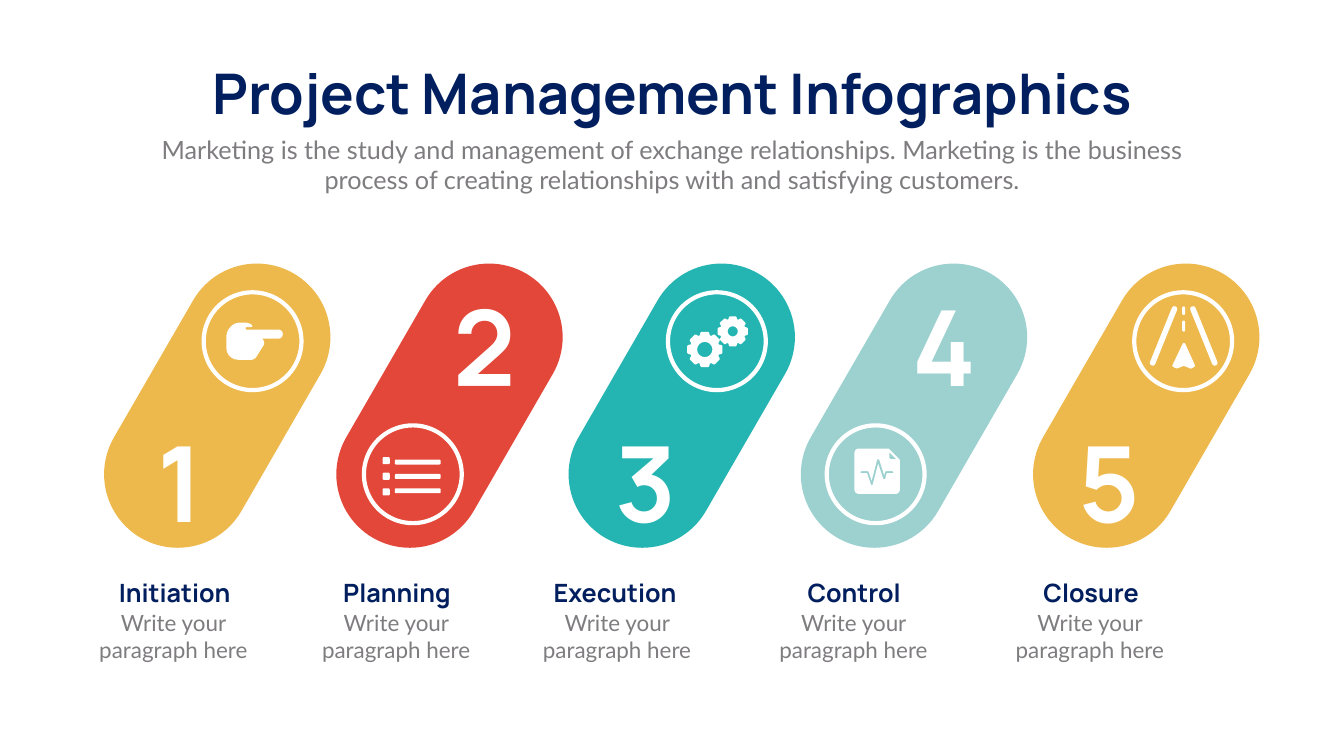
from math import cos, radians, sin

from pptx import Presentation
from pptx.dml.color import RGBColor
from pptx.enum.shapes import MSO_SHAPE
from pptx.enum.text import MSO_AUTO_SIZE, PP_ALIGN
from pptx.util import Pt

ROUND, OVAL = MSO_SHAPE.ROUNDED_RECTANGLE, MSO_SHAPE.OVAL
CENTER, GROW = PP_ALIGN.CENTER, MSO_AUTO_SIZE.SHAPE_TO_FIT_TEXT
HEX = {"navy": "011F5E", "gray": "7E7C7F", "white": "FFFFFF",
       "gold": "EEB94C", "red": "E34739", "teal": "24B5B2", "mint": "9CD1D0"}
RGB = {name: RGBColor.from_string(code) for name, code in HEX.items()}

deck = Presentation()
deck.slide_width, deck.slide_height = Pt(1919.52), Pt(1080)
slide = deck.slides.add_slide(deck.slide_layouts[6])
shapes = slide.shapes


def solid(kind, x, y, w, h, fill, adj=None, turn=0):
    shape = shapes.add_shape(kind, Pt(x), Pt(y), Pt(w), Pt(h))
    shape.shadow.inherit = False
    shape.rotation = turn
    if adj is not None:
        shape.adjustments[0] = adj
    if fill:
        shape.fill.solid()
        shape.fill.fore_color.rgb = RGB[fill]
    else:
        shape.fill.background()
    shape.line.fill.background()
    return shape


def label(text, mid, y, w, h, size, color, bold=True, wrap=True):
    box = shapes.add_textbox(Pt(mid - w / 2), Pt(y), Pt(w), Pt(h))
    frame = box.text_frame
    frame.word_wrap = wrap
    frame.auto_size = GROW
    para = frame.paragraphs[0]
    para.text = text
    para.alignment = CENTER
    font = para.font
    font.name = "Manrope" if bold else "Lato"
    font.size, font.bold = Pt(size), bold
    font.color.rgb = RGB[color]


# Title and subtitle
label("Project Management Infographics", 960.1, 80.6, 1436.4, 104.4, 80, "navy", wrap=False)
label("Marketing is the study and management of exchange relationships. "
      "Marketing is the business process of creating relationships with "
      "and satisfying customers.", 959.8, 187.9, 1499, 94.3, 36, "gray", bold=False)

# Steps: name, colour, middles of heading, body and number, number width, ring left
steps = [
    ("Initiation", "gold", 249.5, 247.7, 253.1, 71.3, 290.9),
    ("Planning", "red", 567, 565.9, 691.2, 100.8, 519.8),
    ("Execution", "teal", 878.4, 881.3, 922.7, 105.8, 954),
    ("Control", "mint", 1220, 1219, 1348.2, 117.4, 1180.8),
    ("Closure", "gold", 1558.4, 1556.6, 1583.6, 113, 1620),
]
for i, step in enumerate(steps):
    solid(ROUND, 205.2 + 331.7 * i, 361.4, 210.2, 436.3, step[1], 0.5, 30)
for name, _, head, body, *_ in steps:
    label(name, head, 820.8, 192.2, 51.1, 36, "navy")
    label("Write your paragraph here", body, 866.2, 273.6, 85, 32, "gray", bold=False)
for i, (*_, mid, width, _) in enumerate(steps):
    label(str(i + 1), mid, 398.2 if i % 2 else 593.3, width, 189.4, 150, "white", wrap=False)
for i, step in enumerate(steps):
    ring = solid(OVAL, step[-1], 607.7 if i % 2 else 417.6, 139.7, 139.7, None if i else "gold")
    ring.line.color.rgb = RGB["white"]
    ring.line.width = Pt(6)

# List icon
for i in range(3):
    solid(ROUND, 546.5, 653 + 22.3 * i, 10.2, 10.2, "white", 0.17)
    solid(ROUND, 563.8, 656.6 + 20.5 * i, 65.5, 7, "white", 0.25)

# Road icon: two edges and the middle dashes
for mid, turn in ((1661.8, 22), (1719.4, -22)):
    solid(ROUND, mid - 4, 434.4, 8, 91, "white", 0.5, turn)
for y, h in ((437.8, 12.2), (457.9, 15.8)):
    solid(ROUND, 1688.4, y, 4.3, h, "white", 0.5)

# Outlines in units of 0.72 pt: two numbers are a corner, six are a curve
hand = [(552, 654), (489, 654), (488, 654, 487, 653, 487, 651),
        (487, 650, 488, 649, 489, 649), (498, 649), (499, 649, 500, 648, 500, 648),
        (501, 647, 500, 646, 500, 645), (496, 642, 491, 640, 486, 640), (477, 640),
        (469, 640, 462, 643, 457, 649), (452, 654, 449, 661, 449, 669), (449, 691),
        (449, 704, 460, 714, 473, 714), (498, 714), (502, 714, 505, 712, 508, 709),
        (521, 688), (525, 684, 525, 677, 521, 673), (521, 672), (552, 672),
        (557, 672, 561, 668, 561, 663), (561, 658, 557, 654, 552, 654)]
page = [(1784, 911), (1764, 891), (1763, 890, 1763, 890, 1762, 890), (1703, 890),
        (1699, 890, 1695, 894, 1695, 898), (1695, 972), (1695, 976, 1699, 980, 1703, 980),
        (1777, 980), (1781, 980, 1785, 976, 1785, 972), (1785, 913),
        (1785, 912, 1784, 912, 1784, 911)]
pulse = [(1770, 939), (1759, 939), (1756, 950), (1755, 951, 1753, 951, 1752, 950),
         (1742, 920), (1731, 962), (1731, 963, 1728, 963, 1728, 962), (1720, 939),
         (1709, 939), (1706, 939, 1706, 935, 1709, 935), (1721, 935),
         (1722, 935, 1723, 936, 1723, 936), (1729, 954), (1740, 912),
         (1740, 911, 1743, 911, 1744, 912), (1754, 943), (1756, 936),
         (1756, 936, 1757, 935, 1758, 935), (1770, 935), (1773, 935, 1773, 939, 1770, 939)]
fold = [(1768, 911), (1766, 911, 1764, 909, 1764, 907), (1764, 897), (1778, 911)]
arrow = [(2351, 682), (2350, 680, 2346, 680, 2346, 682), (2326, 724),
         (2325, 726, 2326, 727, 2327, 728), (2333, 731), (2334, 731, 2334, 731, 2335, 731),
         (2348, 726), (2361, 731), (2362, 731.5, 2363, 731, 2363, 731), (2369, 728),
         (2370, 727, 2371, 726, 2370, 724)]

# Gears: eight teeth round a hole
tooth = [(-19.5, 0.84), (-15, 0.96), (-11, 1), (11, 1), (15, 0.96), (19.5, 0.84)]
gears = []
for cx, cy, rad, hole in ((1398, 693.5, 35.5, 15), (1453.5, 657.5, 30.5, 10)):
    rim = [(45 * k + deg, rad * part) for k in range(8) for deg, part in tooth]
    bore = [(-10 * k, hole) for k in range(36)]
    for loop in (rim, bore):
        gears.append([(cx + r * cos(radians(a)), cy + r * sin(radians(a))) for a, r in loop])

for icon in ([hand], gears, [page, pulse, fold], [arrow]):
    pen = None
    for loop in icon:
        dots = []
        for node in loop:
            if len(node) == 2:
                dots.append(node)
                continue
            ends = (dots[-1], node[:2], node[2:4], node[4:])
            for t in (0.2, 0.4, 0.6, 0.8, 1):
                mix = ((1 - t) ** 3, 3 * t * (1 - t) ** 2, 3 * t * t * (1 - t), t ** 3)
                dots.append(tuple(sum(m * e[axis] for m, e in zip(mix, ends))
                                  for axis in (0, 1)))
        dots = [(Pt(0.72 * x), Pt(0.72 * y)) for x, y in dots]
        if pen:
            pen.move_to(*dots[0])
        else:
            pen = shapes.build_freeform(*dots[0])
        pen.add_line_segments(dots[1:], close=True)
    shape = pen.convert_to_shape()
    shape.shadow.inherit = False
    shape.fill.solid()
    shape.fill.fore_color.rgb = RGB["white"]
    shape.line.fill.background()

deck.save("out.pptx")
